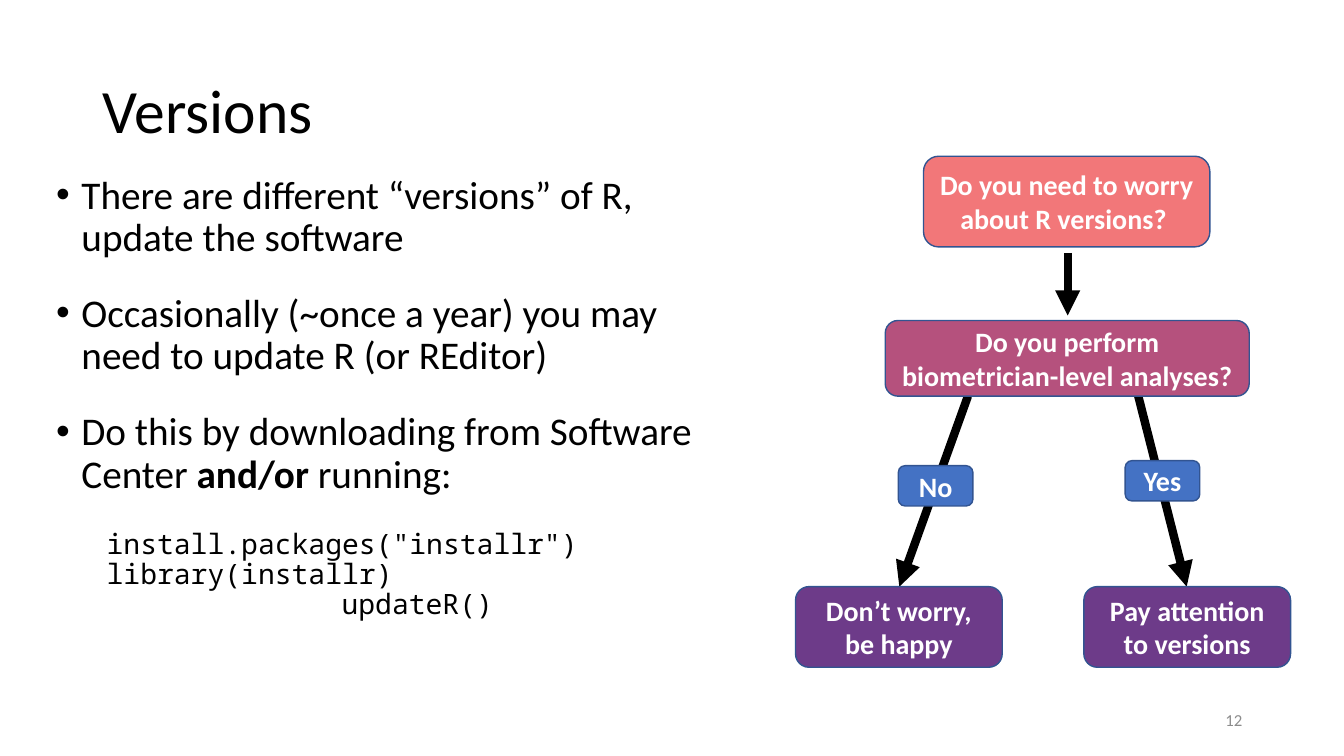
from dataclasses import dataclass

from lxml import etree
from pptx import Presentation
from pptx.dml.color import RGBColor
from pptx.enum.shapes import MSO_CONNECTOR, MSO_SHAPE
from pptx.enum.text import MSO_ANCHOR, PP_ALIGN
from pptx.oxml.ns import qn
from pptx.slide import Slide
from pptx.text.text import TextFrame, _Paragraph
from pptx.util import Inches, Pt

ROUND = MSO_SHAPE.ROUNDED_RECTANGLE
STRAIGHT = MSO_CONNECTOR.STRAIGHT
TOP, MIDDLE = MSO_ANCHOR.TOP, MSO_ANCHOR.MIDDLE
LEFT, CENTER, RIGHT = PP_ALIGN.LEFT, PP_ALIGN.CENTER, PP_ALIGN.RIGHT

BLACK = RGBColor(0x00, 0x00, 0x00)
WHITE = RGBColor(0xFF, 0xFF, 0xFF)
GRAY = RGBColor(0x8C, 0x8C, 0x8C)
CORAL = RGBColor(0xF2, 0x77, 0x79)
ROSE = RGBColor(0xB5, 0x51, 0x7D)
PURPLE = RGBColor(0x6D, 0x3B, 0x89)
BLUE = RGBColor(0x44, 0x72, 0xC4)
NAVY = RGBColor(0x32, 0x54, 0x91)

SANS, MONO = "Calibri", "Noto Sans Mono"


@dataclass
class Node:
    text: str
    left: float
    top: float
    width: float
    height: float
    fill: RGBColor


@dataclass
class Arrow:
    x1: float
    y1: float
    x2: float
    y2: float


@dataclass
class Part:
    text: str
    bold: bool = False


@dataclass
class Code:
    text: str
    indent: float
    before: int


ARROWS = [
    Arrow(10.59, 2.51, 10.59, 3.13),
    Arrow(9.6, 3.93, 8.92, 5.82),
    Arrow(11.29, 3.93, 11.77, 5.82),
]

NODES = [
    Node("Do you need to worry about R versions? ", 9.16, 1.55, 2.84, 0.9, CORAL),
    Node("Do you perform biometrician-level analyses?", 8.78, 3.18, 3.61, 0.75, ROSE),
    Node("No", 8.91, 4.62, 0.74, 0.4, BLUE),
    Node("Yes", 11.16, 4.57, 0.74, 0.4, BLUE),
    Node("Don’t worry, be happy", 7.89, 5.82, 2.05, 0.8, PURPLE),
    Node("Pay attention to versions", 10.75, 5.82, 2.05, 0.8, PURPLE),
]

POINTS = [
    [Part("There are different “versions” of R, update the software")],
    [Part("Occasionally (~once a year) you may need to update R (or REditor)")],
    [Part("Do this by downloading from Software Center "),
     Part("and/or ", True), Part("running:")],
]

CODES = [
    Code('install.packages("installr")', 0.5, 24),
    Code("library(installr)", 0.5, 0),
    Code("updateR()", 2.83, 0),
]


def add_run(para: _Paragraph, text: str, size: int, color: RGBColor,
            bold: bool = False, face: str = SANS) -> None:
    run = para.add_run()
    run.text = text
    font = run.font
    font.name, font.size, font.bold = face, Pt(size), bold
    font.color.rgb = color


def add_box(slide: Slide, left: float, top: float, width: float,
            height: float, anchor: MSO_ANCHOR) -> TextFrame:
    box = slide.shapes.add_textbox(
        Inches(left), Inches(top), Inches(width), Inches(height))
    frame = box.text_frame
    frame.word_wrap = True
    frame.vertical_anchor = anchor
    return frame


def add_label(slide: Slide, text: str, left: float, top: float, width: float,
              height: float, size: int, color: RGBColor, align: PP_ALIGN) -> None:
    para = add_box(slide, left, top, width, height, MIDDLE).paragraphs[0]
    para.alignment = align
    para.line_spacing = 0.9
    add_run(para, text, size, color)


def set_para(para: _Paragraph, before: int, margin: float,
             indent: float, bullet: str = "") -> None:
    para.line_spacing = 0.9
    para.space_before = Pt(before)
    props = para._p.get_or_add_pPr()
    props.set("marL", str(Inches(margin)))
    props.set("indent", str(Inches(indent)))
    if bullet:
        etree.SubElement(props, qn("a:buFont")).set("typeface", "Arial")
        etree.SubElement(props, qn("a:buChar")).set("char", bullet)
    else:
        etree.SubElement(props, qn("a:buNone"))


def add_body(slide: Slide) -> None:
    frame = add_box(slide, 0.46, 1.69, 6.76, 5.66, TOP)
    for i, parts in enumerate(POINTS):
        para = frame.add_paragraph() if i else frame.paragraphs[0]
        set_para(para, 24 if i else 18, 0.25, -0.25, "•")
        for part in parts:
            add_run(para, part.text, 28, BLACK, part.bold)
    for code in CODES:
        para = frame.add_paragraph()
        set_para(para, code.before, code.indent, 0)
        add_run(para, code.text, 20, BLACK, face=MONO)


def add_arrow(slide: Slide, arrow: Arrow) -> None:
    link = slide.shapes.add_connector(
        STRAIGHT, Inches(arrow.x1), Inches(arrow.y1),
        Inches(arrow.x2), Inches(arrow.y2))
    link.line.color.rgb = BLACK
    link.line.width = Pt(6)
    props = link._element.spPr
    tail = etree.SubElement(props.find(qn("a:ln")), qn("a:tailEnd"))
    tail.set("type", "triangle")
    etree.SubElement(props, qn("a:effectLst"))


def add_node(slide: Slide, node: Node) -> None:
    shape = slide.shapes.add_shape(
        ROUND, Inches(node.left), Inches(node.top),
        Inches(node.width), Inches(node.height))
    shape.shadow.inherit = False
    shape.fill.solid()
    shape.fill.fore_color.rgb = node.fill
    shape.line.color.rgb = NAVY
    shape.line.width = Pt(1)
    frame = shape.text_frame
    frame.word_wrap = True
    frame.vertical_anchor = MIDDLE
    para = frame.paragraphs[0]
    para.alignment = CENTER
    add_run(para, node.text, 20, WHITE, True)


def main() -> None:
    deck = Presentation()
    deck.slide_width, deck.slide_height = Inches(13.33), Inches(7.5)
    slide = deck.slides.add_slide(deck.slide_layouts[6])
    add_label(slide, "Versions", 0.92, 0.4, 11.5, 1.45, 44, BLACK, LEFT)
    add_body(slide)
    add_label(slide, "12", 9.42, 6.95, 3, 0.4, 12, GRAY, RIGHT)
    for arrow in ARROWS:
        add_arrow(slide, arrow)
    for node in NODES:
        add_node(slide, node)
    deck.save("out.pptx")


if __name__ == "__main__":
    main()
